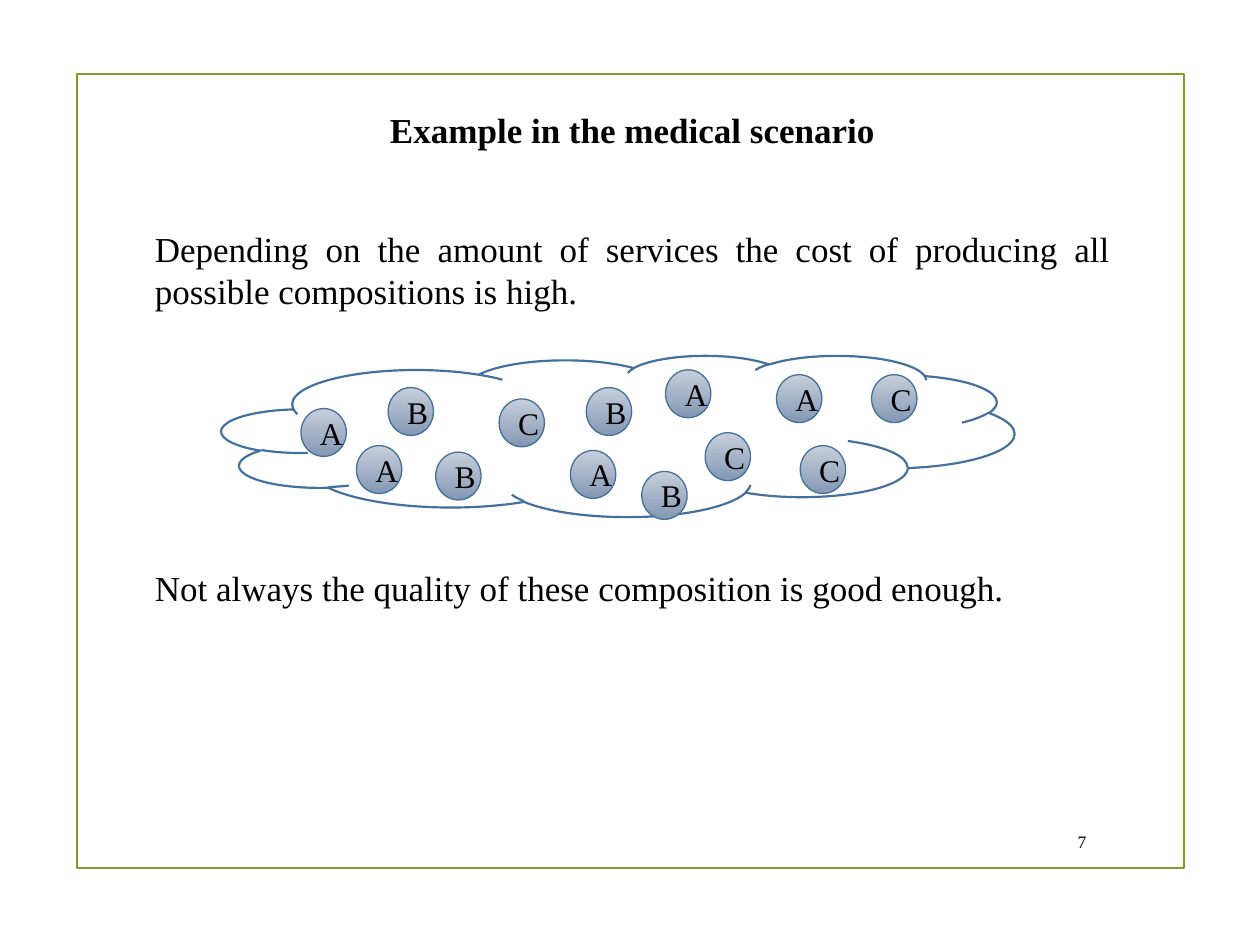
from pptx import Presentation
from pptx.dml.color import RGBColor
from pptx.enum.shapes import MSO_SHAPE
from pptx.enum.text import MSO_ANCHOR, PP_ALIGN
from pptx.util import Inches, Pt

W, H = 10, 7.5
FONT = "Times New Roman"
COLORS = {"text": "000000", "frame": "83992A", "line": "44709D",
          "cloud": "FFFFFF", "light": "C7CFDB", "dark": "8498B4"}
SERVICE_SIZE = (0.36, 0.38)
SERVICES = {
    "A": [(0.10, 0.33), (0.17, 0.56), (0.56, 0.09), (0.44, 0.59), (0.70, 0.12)],
    "B": [(0.21, 0.20), (0.27, 0.60), (0.46, 0.20), (0.53, 0.72)],
    "C": [(0.61, 0.48), (0.73, 0.56), (0.35, 0.27), (0.82, 0.12)],
}


def rgb(name):
    """Return the named colour."""
    return RGBColor.from_string(COLORS[name])


def write(tf, text, size=20, bold=False, align=PP_ALIGN.CENTER, before=None, after=0):
    """Append a formatted paragraph to a text frame."""
    p = tf.add_paragraph() if tf.text else tf.paragraphs[0]
    p.alignment = align
    p.space_after = Pt(after)
    if before is not None:
        p.space_before = Pt(before)
    r = p.add_run()
    r.text = text
    r.font.name, r.font.size, r.font.bold = FONT, Pt(size), bold
    r.font.color.rgb = rgb("text")


def add_outline(s, kind, box, line, width):
    """Add an unfilled preset shape with a coloured outline."""
    sp = s.shapes.add_shape(kind, *map(Inches, box))
    sp.shadow.inherit = False
    sp.fill.background()
    sp.line.color.rgb = rgb(line)
    sp.line.width = Pt(width)
    return sp


def add_text_frame(s, box):
    """Add a wrapping text box and return its text frame."""
    tf = s.shapes.add_textbox(*map(Inches, box)).text_frame
    tf.word_wrap = True
    return tf


def add_content(s, box):
    """Write the title and both statements, leaving room for the cloud."""
    tf = add_text_frame(s, box)
    write(tf, "Example in the medical scenario", bold=True, after=6)
    write(tf, "Depending on the amount of services the cost of producing all "
              "possible compositions is high.",
          align=PP_ALIGN.JUSTIFY, before=38, after=6)
    write(tf, "Not always the quality of these composition is good enough.",
          align=PP_ALIGN.JUSTIFY, before=140, after=6)


def add_service(s, label, box):
    """Add one gradient circle holding a service letter."""
    sp = add_outline(s, MSO_SHAPE.OVAL, box, "line", 0.75)
    sp.fill.gradient()
    sp.fill.gradient_angle = 270
    for stop, name, position in zip(sp.fill.gradient_stops, ("light", "dark"), (0, 1)):
        stop.color.rgb = rgb(name)
        stop.position = position
    tf = sp.text_frame
    tf.word_wrap = True
    tf.vertical_anchor = MSO_ANCHOR.MIDDLE
    write(tf, label, size=18)


def add_cloud(s, box):
    """Draw the cloud and spread the services over shares of its box."""
    x, y, w, h = box
    cloud = add_outline(s, MSO_SHAPE.CLOUD, box, "line", 1.25)
    cloud.fill.solid()
    cloud.fill.fore_color.rgb = rgb("cloud")
    for label, places in SERVICES.items():
        for dx, dy in places:
            add_service(s, label, (x + dx * w, y + dy * h, *SERVICE_SIZE))


def add_page_number(s, box):
    """Write the page number at the right of its box."""
    tf = add_text_frame(s, box)
    tf.vertical_anchor = MSO_ANCHOR.MIDDLE
    write(tf, "7", size=10, align=PP_ALIGN.RIGHT)


def main():
    """Build and save the slide."""
    prs = Presentation()
    prs.slide_width, prs.slide_height = Inches(W), Inches(H)
    s = prs.slides.add_slide(prs.slide_layouts[6])
    add_outline(s, MSO_SHAPE.RECTANGLE, (0.61, 0.59, 8.79, 6.3), "frame", 1.25)
    add_page_number(s, (8.29, 6.52, 0.43, 0.31))
    add_content(s, (1.13, 0.81, 7.78, 6.01))
    add_cloud(s, (1.76, 2.82, 6.29, 1.28))
    prs.save("out.pptx")


if __name__ == "__main__":
    main()
